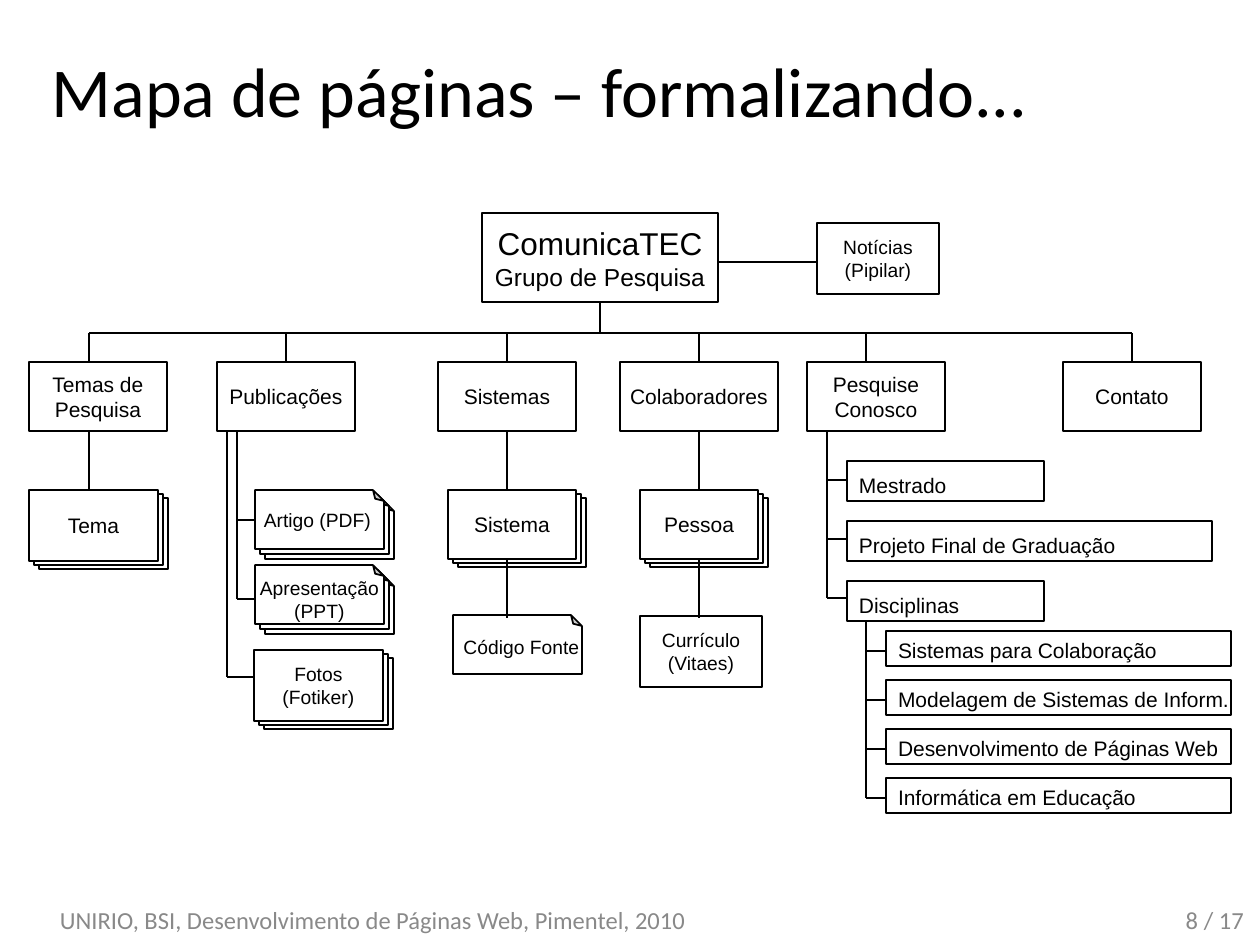
import pptx
import pptx.util
from lxml import etree
from pptx.dml.color import RGBColor
from pptx.enum.shapes import MSO_CONNECTOR, MSO_SHAPE
from pptx.enum.text import MSO_ANCHOR, MSO_AUTO_SIZE, PP_ALIGN
from pptx.oxml.ns import qn

EMU_PER_PX = 914400 / 126
THEME = {
    "ink": RGBColor(0, 0, 0),
    "paper": RGBColor(255, 255, 255),
    "muted": RGBColor(0x89, 0x89, 0x89),
    "heading_font": "Calibri",
    "diagram_font": "Arial",
    "title": 40, "root": 18, "footer": 14, "label": 12, "small": 11,
    "line": 1,
}

TITLE = "Mapa de páginas – formalizando..."
# text, left, width, alignment
FOOTERS = [
    ("UNIRIO, BSI, Desenvolvimento de Páginas Web, Pimentel, 2010", 47, 819, PP_ALIGN.LEFT),
    ("8", 917, 294, PP_ALIGN.RIGHT),
    ("/ 17", 1191, 69, PP_ALIGN.LEFT),
]
ROOT = (["ComunicaTEC", "Grupo de Pesquisa"], (482, 213, 236, 89))
# lines of text, left, width, x of the line from above
SECTIONS = [
    (["Temas de", "Pesquisa"], 29, 138, 89),
    (["Publicações"], 217, 138, 286),
    (["Sistemas"], 438, 138, 507),
    (["Colaboradores"], 620, 158, 699),
    (["Pesquise", "Conosco"], 807, 138, 866),
    (["Contato"], 1063, 138, 1132),
]
# lines of text, box, size, number of sheets
PAGES = [
    (["Notícias", "(Pipilar)"], (817, 223, 122, 71), "small", 1),
    (["Tema"], (29, 490, 129, 71), "label", 3),
    (["Sistema"], (448, 490, 128, 69), "label", 3),
    (["Pessoa"], (640, 490, 118, 69), "label", 3),
    (["Fotos", "(Fotiker)"], (254, 650, 129, 71), "small", 3),
    (["Currículo", "(Vitaes)"], (640, 616, 122, 71), "small", 1),
]
# lines of text, box, number of sheets, label shift
FILES = [
    (["Artigo (PDF)"], (255, 490, 129, 59), 3, (-2, 0)),
    (["Apresentação", "(PPT)"], (255, 565, 129, 59), 3, (0, 5)),
    (["Código Fonte"], (453, 615, 129, 59), 1, (4, 2)),
]
FOLD = 18500
TOPICS = [("Mestrado", 197), ("Projeto Final de Graduação", 365), ("Disciplinas", 197)]
COURSES = ["Sistemas para Colaboração", "Modelagem de Sistemas de Inform.",
           "Desenvolvimento de Páginas Web", "Informática em Educação"]

SECTION_TOP, SECTION_HEIGHT, BUS_Y = 362, 69, 333
SECTION_BOTTOM = SECTION_TOP + SECTION_HEIGHT
TOPIC_LEFT, TOPIC_TOP, TOPIC_STEP, TOPIC_HEIGHT = 847, 461, 60, 40
COURSE_LEFT, COURSE_TOP, COURSE_STEP, COURSE_HEIGHT = 886, 631, 49, 35
COURSE_WIDTH = 345
TOPIC_MIDDLES = [480 + 59 * i for i in range(len(TOPICS))]
COURSE_MIDDLES = [651 + COURSE_STEP * i for i in range(len(COURSES))]
# trunk x, trunk top, branch heights, branch end x
TREES = [
    (237, SECTION_BOTTOM, [520, 599], 255),
    (227, SECTION_BOTTOM, [677], 255),
    (827, SECTION_BOTTOM, TOPIC_MIDDLES, TOPIC_LEFT),
    (866, 621, COURSE_MIDDLES, COURSE_LEFT),
]
# x1, y1, x2, y2
LINKS = [(718, 262, 817, 262), (600, 302, 600, BUS_Y),
         (SECTIONS[0][3], BUS_Y, SECTIONS[-1][3], BUS_Y)]
LINKS += [(x, BUS_Y, x, SECTION_TOP) for *_, x in SECTIONS]
LINKS += [(x, SECTION_BOTTOM, x, 490) for x in (89, 507, 699)]
LINKS += [(x, 559, x, 618) for x in (507, 699)]


def px(*values):
    return [pptx.util.Emu(round(value * EMU_PER_PX)) for value in values]


def write(shape, lines, sizes, font=THEME["diagram_font"], color=THEME["ink"],
          align=PP_ALIGN.CENTER, insets=(0, 0, 0, 0)):
    """Fill a shape with one paragraph per line; insets are left, top, right, bottom."""
    frame = shape.text_frame
    frame.word_wrap = True
    frame.auto_size = MSO_AUTO_SIZE.NONE
    frame.vertical_anchor = MSO_ANCHOR.MIDDLE
    (frame.margin_left, frame.margin_top,
     frame.margin_right, frame.margin_bottom) = px(*insets)
    frame.text = "\n".join(lines)
    for paragraph, size in zip(frame.paragraphs, sizes):
        paragraph.alignment = align
        for run in paragraph.runs:
            run.font.size = pptx.util.Pt(size)
            run.font.name = font
            run.font.color.rgb = color


def add_outlined(slide, preset, box):
    shape = slide.shapes.add_shape(preset, *px(*box))
    shape.shadow.inherit = False
    shape.fill.solid()
    shape.fill.fore_color.rgb = THEME["paper"]
    shape.line.color.rgb = THEME["ink"]
    shape.line.width = pptx.util.Pt(THEME["line"])
    return shape


def add_pages(slide, box, sheets=1):
    """Draw a stack of page boxes and return the front one."""
    left, top, width, height = box
    for depth in reversed(range(sheets)):
        page = add_outlined(slide, MSO_SHAPE.RECTANGLE,
                            (left + 5 * depth, top + 4 * depth, width, height))
    return page


def add_files(slide, box, sheets):
    """Draw a stack of sheets whose top right corner is folded."""
    left, top, width, height = box
    turn = (width - height) / 2
    for depth in reversed(range(sheets)):
        sheet = add_outlined(slide, MSO_SHAPE.FOLDED_CORNER,
                             (left + turn + 5 * depth, top - turn + 5 * depth, height, width))
        sheet.rotation = 270
        guides = sheet._element.spPr.find(qn("a:prstGeom")).find(qn("a:avLst"))
        etree.SubElement(guides, qn("a:gd"), name="adj", fmla=f"val {FOLD}")


def add_line(slide, ends):
    line = slide.shapes.add_connector(MSO_CONNECTOR.STRAIGHT, *px(*ends))
    line.line.color.rgb = THEME["ink"]
    line.line.width = pptx.util.Pt(THEME["line"])
    etree.SubElement(line._element.spPr, qn("a:effectLst"))


def add_headings(slide):
    title = slide.shapes.title
    title.left, title.top, title.width, title.height = px(39, 10, 1201, 158)
    write(title, [TITLE], [THEME["title"]], THEME["heading_font"],
          align=PP_ALIGN.LEFT, insets=(13, 6, 13, 6))
    for text, left, width, align in FOOTERS:
        footer = slide.shapes.add_textbox(*px(left, 895, width, 50))
        write(footer, [text], [THEME["footer"]], THEME["heading_font"],
              THEME["muted"], align, (13, 6, 13, 6))


def add_map(slide):
    lines, box = ROOT
    write(add_pages(slide, box), lines, [THEME["root"], THEME["footer"]])
    for lines, left, width, _ in SECTIONS:
        section = add_pages(slide, (left, SECTION_TOP, width, SECTION_HEIGHT))
        write(section, lines, [THEME["label"]] * len(lines))
    for lines, box, size, sheets in PAGES:
        write(add_pages(slide, box, sheets), lines, [THEME[size]] * len(lines))
    for lines, box, sheets, (shift_x, shift_y) in FILES:
        add_files(slide, box, sheets)
        left, top, width, height = box
        label = slide.shapes.add_textbox(*px(left + shift_x, top + shift_y, width, height))
        write(label, lines, [THEME["small"]] * len(lines))

    rows = [(text, (TOPIC_LEFT, TOPIC_TOP + TOPIC_STEP * i, width, TOPIC_HEIGHT), 8)
            for i, (text, width) in enumerate(TOPICS)]
    rows += [(text, (COURSE_LEFT, COURSE_TOP + COURSE_STEP * i, COURSE_WIDTH, COURSE_HEIGHT), 4)
             for i, text in enumerate(COURSES)]
    for text, box, top_inset in rows:
        write(add_pages(slide, box), [text], [THEME["label"]],
              align=PP_ALIGN.LEFT, insets=(12, top_inset, 0, 0))

    for ends in LINKS:
        add_line(slide, ends)
    for trunk, top, heights, end in TREES:
        add_line(slide, (trunk, top, trunk, heights[-1]))
        for y in heights:
            add_line(slide, (trunk, y, end, y))


def main():
    presentation = pptx.Presentation()
    presentation.slide_width, presentation.slide_height = px(1260, 945)
    slide = presentation.slides.add_slide(presentation.slide_layouts[5])
    add_headings(slide)
    add_map(slide)
    presentation.save("out.pptx")


if __name__ == "__main__":
    main()
